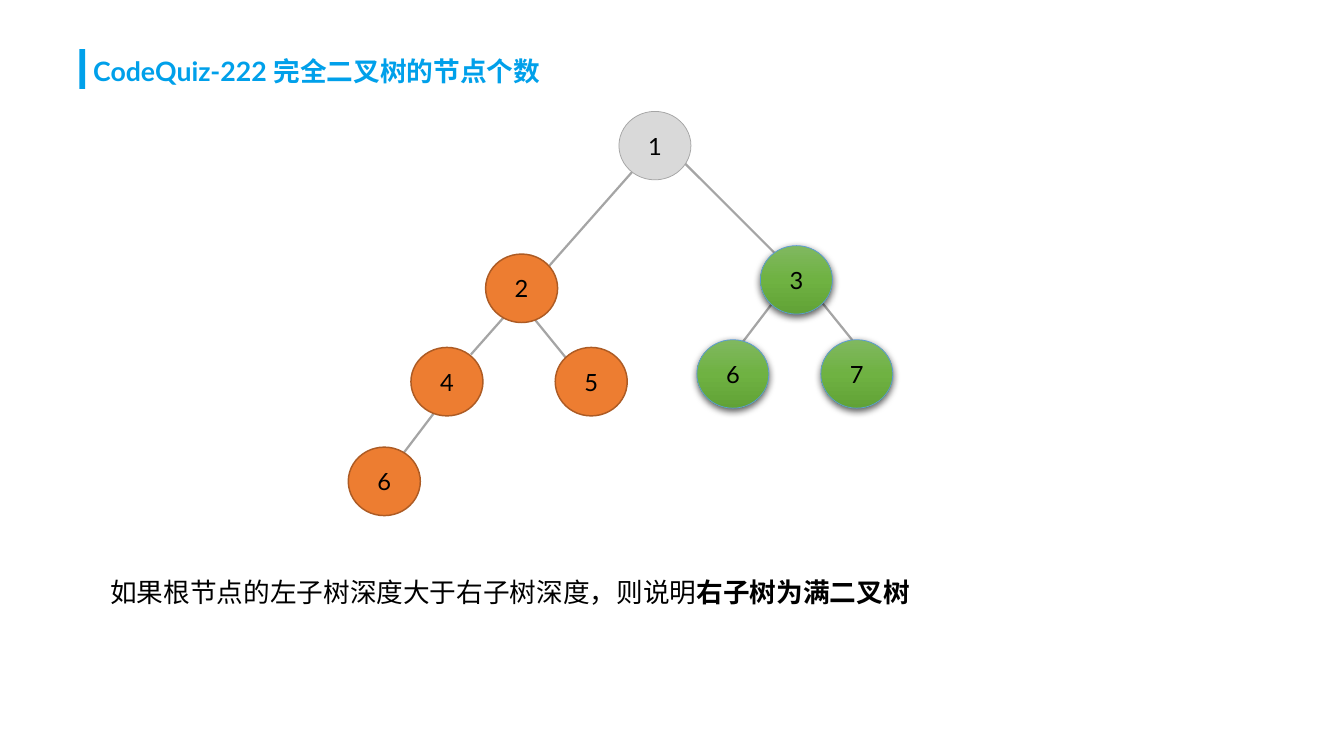
from copy import deepcopy
from dataclasses import dataclass

from lxml import etree
from pptx import Presentation
from pptx.dml.color import RGBColor
from pptx.enum.shapes import MSO_CONNECTOR, MSO_SHAPE
from pptx.enum.text import MSO_ANCHOR, PP_ALIGN
from pptx.oxml.ns import qn
from pptx.util import Pt

RECTANGLE, OVAL = MSO_SHAPE.RECTANGLE, MSO_SHAPE.OVAL
STRAIGHT = MSO_CONNECTOR.STRAIGHT
TOP, MIDDLE = MSO_ANCHOR.TOP, MSO_ANCHOR.MIDDLE
LEFT, CENTER = PP_ALIGN.LEFT, PP_ALIGN.CENTER
TITLE_ONLY = 5


@dataclass(frozen=True)
class Theme:
    accent: str = "00A0EA"
    ink: str = "000000"
    edge: str = "A5A5A5"
    latin: str = "Lato"
    chinese: str = "Noto Sans CJK JP"
    text_size: int = 18
    node_size: int = 16
    edge_width: float = 1.5
    inset: float = 3.6


THEME = Theme()

# Fill colours from top to bottom, outline colour, outline width
ROOT = (["D9D9D9"], "A5A5A5", 0.5)
LEFT_SUBTREE = (["ED7D31"], "AD5B24", 1)
RIGHT_SUBTREE = (["80B860", "6FB242", "61A236"], "5B9BD5", 0.5)

NODE_WIDTH, NODE_HEIGHT = 48.6, 46.2

# Label, offset from the tree's corner, look
NODES = [
    ("1", 182.7, 0, ROOT),
    ("2", 92.7, 96.3, LEFT_SUBTREE),
    ("4", 42.3, 159.3, LEFT_SUBTREE),
    ("5", 139.7, 159.3, LEFT_SUBTREE),
    ("6", 0, 226.6, LEFT_SUBTREE),
    ("3", 278.2, 90.6, RIGHT_SUBTREE),
    ("6", 235.3, 154.1, RIGHT_SUBTREE),
    ("7", 319, 154.1, RIGHT_SUBTREE),
]

# Child end and parent end; the first runs from 4 behind 2 up to 1
EDGES = [
    (82.8, 164.1, 191.5, 41),
    (301.7, 109.4, 227.5, 35.3),
    (146.9, 166.3, 125.3, 139.7),
    (37.5, 230.4, 58.3, 203),
    (266.4, 155.5, 287.3, 128.1),
    (340.6, 154.8, 319.7, 128.9),
]


def rgb(value):
    return RGBColor.from_string(value)


def set_insets(frame, inset):
    frame.margin_left = frame.margin_right = Pt(inset)
    frame.margin_top = frame.margin_bottom = Pt(inset)


def set_font(paragraph, size, color, name, bold=False):
    font = paragraph.font
    font.size, font.bold, font.name = Pt(size), bold, name
    font.color.rgb = rgb(color)


def add_chinese(paragraph, text):
    run = paragraph.add_run()
    run.text = text
    east_asian = etree.SubElement(run._r.get_or_add_rPr(), qn("a:ea"))
    east_asian.set("typeface", THEME.chinese)
    return run


def fill_node(node, colors):
    fill = node.fill
    if len(colors) == 1:
        fill.solid()
        fill.fore_color.rgb = rgb(colors[0])
        return
    fill.gradient()
    fill.gradient_angle = 270
    stop_list = next(node._element.spPr.iter(qn("a:gsLst")))
    stop_list.insert(1, deepcopy(stop_list[0]))
    for index, (stop, color) in enumerate(zip(fill.gradient_stops, colors)):
        stop.position = index / (len(colors) - 1)
        stop.color.rgb = rgb(color)


def add_soft_shadow(node):
    effects = node._element.spPr.find(qn("a:effectLst"))
    shadow = etree.SubElement(
        effects, qn("a:outerShdw"), blurRad=str(Pt(5)), dist=str(Pt(1.5)),
        dir="5400000", algn="ctr", rotWithShape="0")
    black = etree.SubElement(shadow, qn("a:srgbClr"), val=THEME.ink)
    etree.SubElement(black, qn("a:alpha"), val="63000")


def add_heading(slide, left, top, width, height):
    # Accent bar
    bar = slide.shapes.add_shape(
        RECTANGLE, Pt(left), Pt(top), Pt(3.9), Pt(26.8))
    bar.shadow.inherit = False
    bar.fill.solid()
    bar.fill.fore_color.rgb = rgb(THEME.accent)
    bar.line.fill.background()

    # Title beside the bar
    title = slide.shapes.title
    title.left, title.top = Pt(left + 5.7), Pt(top)
    title.width, title.height = Pt(width - 5.7), Pt(height)
    frame = title.text_frame
    frame.vertical_anchor = TOP
    set_insets(frame, THEME.inset)
    heading = frame.paragraphs[0]
    heading.alignment = LEFT
    set_font(heading, THEME.text_size, THEME.accent, THEME.latin, bold=True)
    heading.add_run().text = "CodeQuiz-222 "
    add_chinese(heading, "完全二叉树的节点个数")


def add_tree(slide, left, top):
    # Edges lie behind the nodes
    for child_x, child_y, parent_x, parent_y in EDGES:
        edge = slide.shapes.add_connector(
            STRAIGHT, Pt(left + child_x), Pt(top + child_y),
            Pt(left + parent_x), Pt(top + parent_y))
        edge.line.color.rgb = rgb(THEME.edge)
        edge.line.width = Pt(THEME.edge_width)
        etree.SubElement(edge._element.spPr, qn("a:effectLst"))

    # Numbered nodes
    for label, x, y, look in NODES:
        colors, outline, outline_width = look
        node = slide.shapes.add_shape(
            OVAL, Pt(left + x), Pt(top + y), Pt(NODE_WIDTH), Pt(NODE_HEIGHT))
        node.shadow.inherit = False
        fill_node(node, colors)
        if look is RIGHT_SUBTREE:
            add_soft_shadow(node)
        node.line.color.rgb = rgb(outline)
        node.line.width = Pt(outline_width)
        frame = node.text_frame
        set_insets(frame, 0)
        frame.vertical_anchor = MIDDLE
        number = frame.paragraphs[0]
        number.text = label
        number.alignment = CENTER
        set_font(number, THEME.node_size, THEME.ink, THEME.latin)


def add_conclusion(slide, left, top, width, height):
    conclusion = slide.shapes.add_textbox(
        Pt(left), Pt(top), Pt(width), Pt(height))
    frame = conclusion.text_frame
    frame.word_wrap = False
    set_insets(frame, THEME.inset)
    sentence = frame.paragraphs[0]
    set_font(sentence, THEME.text_size, THEME.ink, THEME.chinese)
    add_chinese(sentence, "如果根节点的左子树深度大于右子树深度，则说明")
    add_chinese(sentence, "右子树为满二叉树").font.bold = True


def main():
    deck = Presentation()
    deck.slide_width, deck.slide_height = Pt(907.25), Pt(510.25)
    slide = deck.slides.add_slide(deck.slide_layouts[TITLE_ONLY])
    add_heading(slide, 53.6, 33.2, 451.4, 32.4)
    add_tree(slide, 235.1, 75.2)
    add_conclusion(slide, 70.7, 385.4, 548, 76.3)
    deck.save("out.pptx")


if __name__ == "__main__":
    main()
